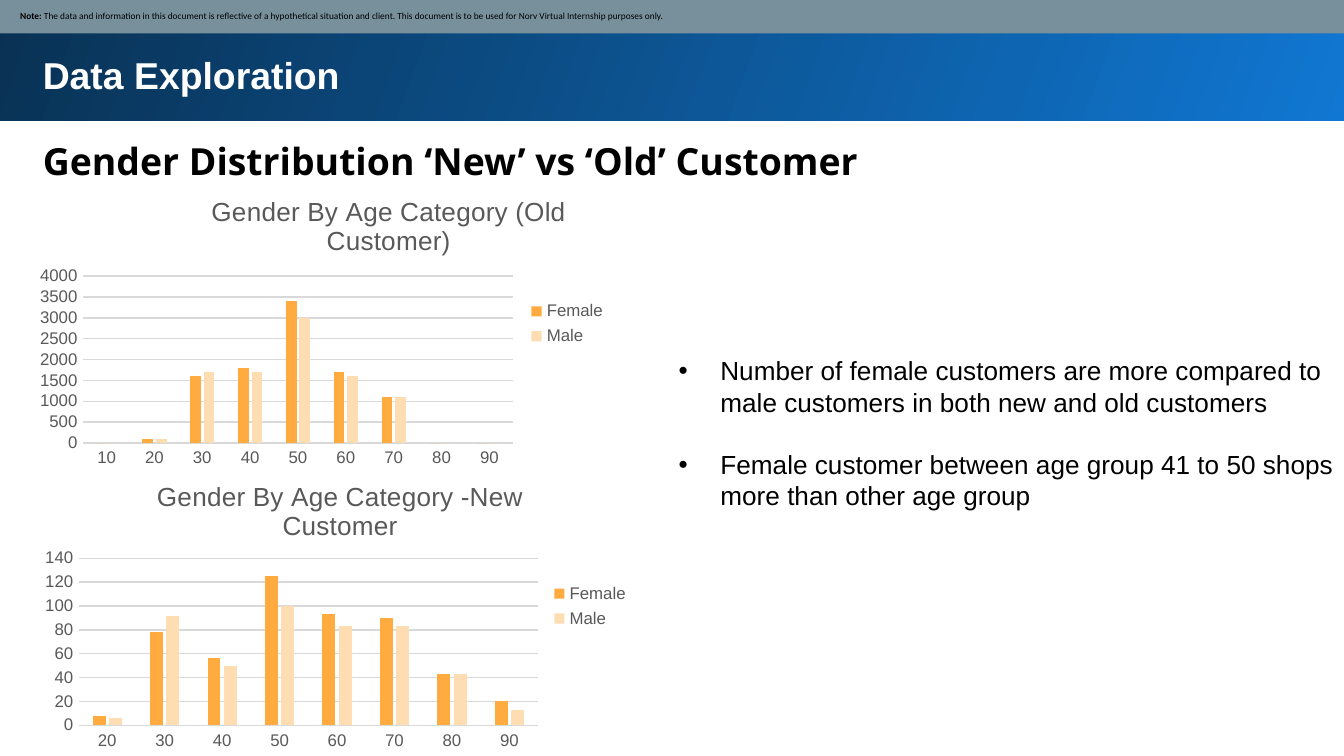
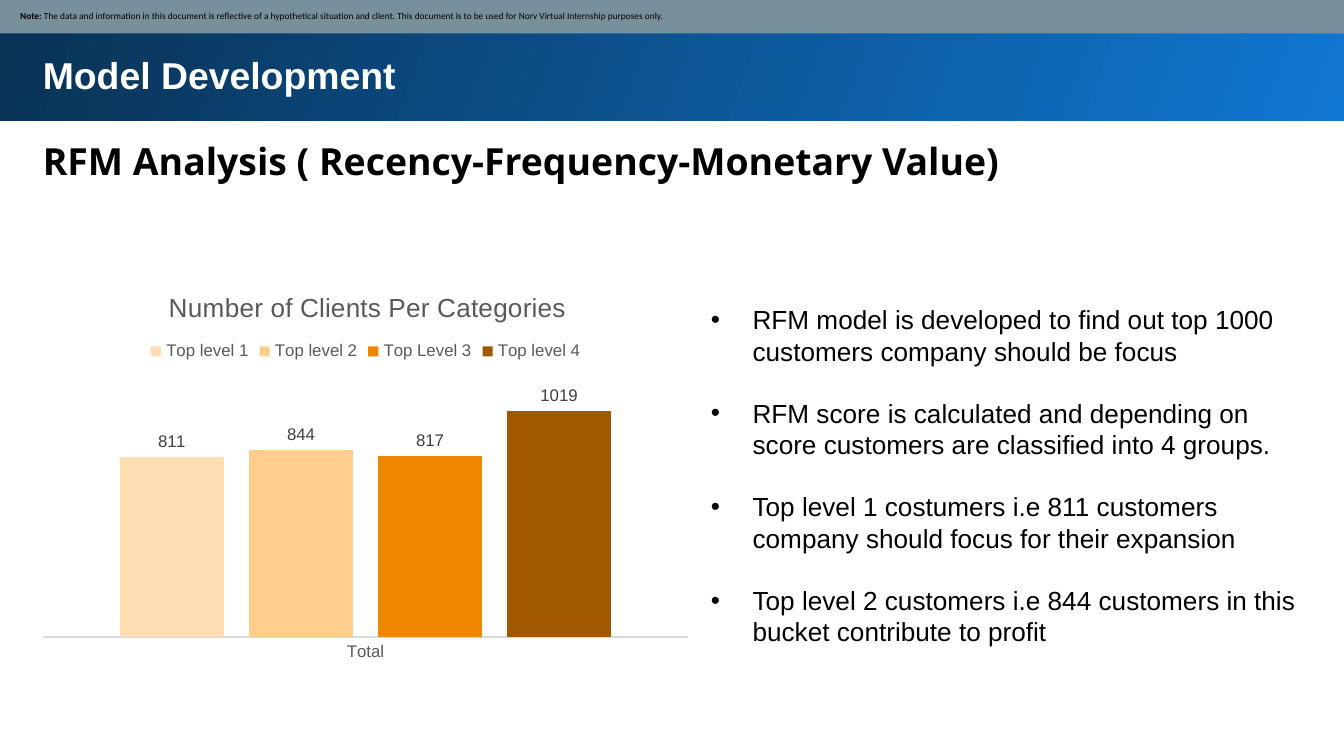
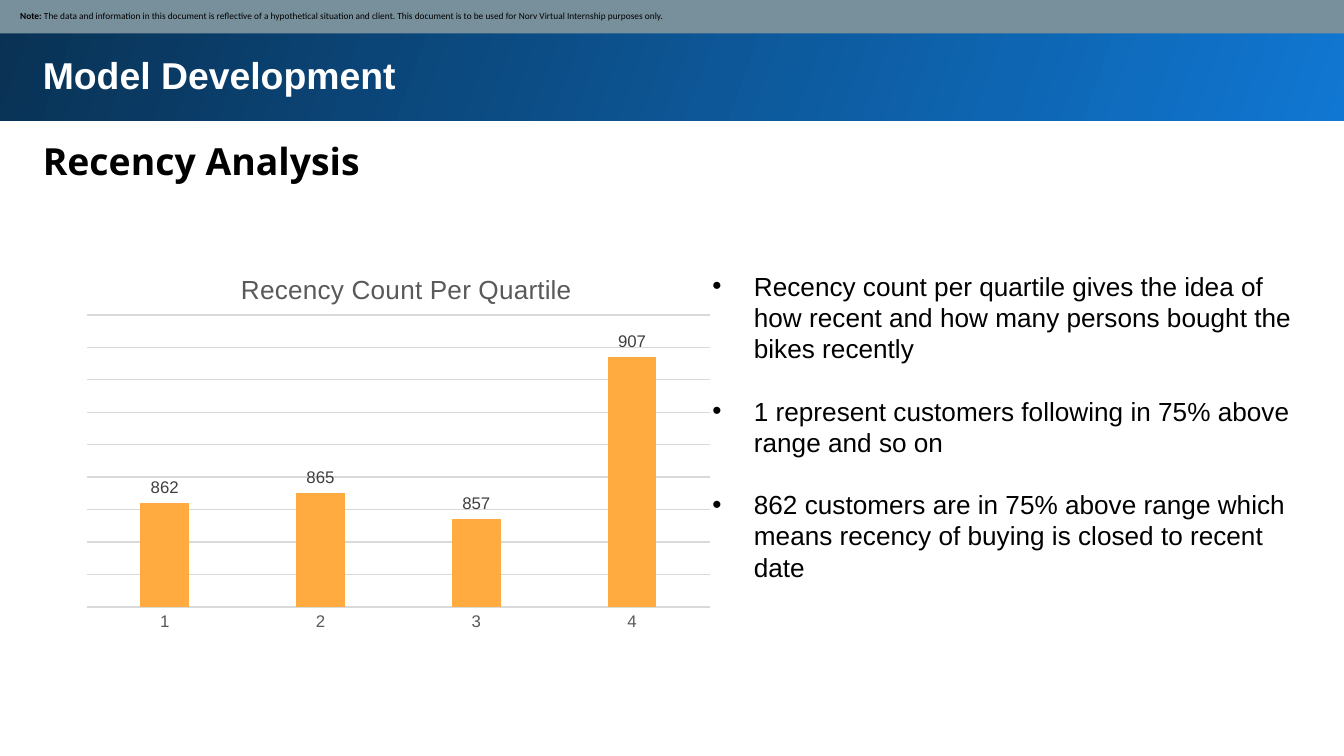
from dataclasses import dataclass

from lxml import etree
from pptx import Presentation
from pptx.chart import data as chart_data
from pptx.dml import color
from pptx.enum import chart as charts, shapes, text
from pptx.oxml import ns
from pptx.util import Inches, Pt


@dataclass(frozen=True)
class Theme:
    black: str = "000000"
    white: str = "FFFFFF"
    band_light: str = "1077D2"
    band_dark: str = "093153"
    note_band: str = "78909C"
    chart_text: str = "595959"
    label: str = "404040"
    grid: str = "D9D9D9"
    orange: str = "FFAB40"
    pale: str = "FFDDB3"
    light: str = "FFCD8C"
    deep: str = "EF8600"
    brown: str = "A05900"
    body_font: str = "Arial"
    heading_font: str = "Open Sans"
    note_font: str = "Calibri"
    title_size: float = 20
    body_size: float = 14
    chart_size: float = 10
    axis_size: float = 9
    note_size: float = 5
    bullet_gap: float = 16.5


theme = Theme()


def write(paragraph, words, size=theme.body_size, font=theme.body_font,
          ink=theme.black, bold=False, bullet=False):
    run = paragraph.add_run()
    run.text = words
    run.font.size = Pt(size)
    run.font.name = font
    run.font.bold = bold
    run.font.color.rgb = color.RGBColor.from_string(ink)
    if bullet:
        properties = paragraph._p.get_or_add_pPr()
        properties.set("marL", str(Inches(0.31)))
        properties.set("indent", str(-Inches(0.31)))
        etree.SubElement(properties, ns.qn("a:buFont"), typeface="Arial")
        etree.SubElement(properties, ns.qn("a:buChar"), char="•")


def place(element, position, index, inner=False):
    for old in element.findall(ns.qn("c:layout")):
        element.remove(old)
    layout = etree.Element(ns.qn("c:layout"))
    manual = etree.SubElement(layout, ns.qn("c:manualLayout"))
    if inner:
        etree.SubElement(manual, ns.qn("c:layoutTarget"), val="inner")
    for side in "xy":
        etree.SubElement(manual, ns.qn(f"c:{side}Mode"), val="edge")
    for side, fraction in zip("xywh", position):
        etree.SubElement(manual, ns.qn(f"c:{side}"), val=str(fraction))
    element.insert(index, layout)


pages = [
    {
        "title": "Data Exploration",
        "heading": "Gender Distribution ‘New’ vs ‘Old’ Customer",
        "bullet_box": (5, 2.59, 4.98, 1.28),
        "bullets": [
            "Number of female customers are more compared to male customers in both new and old customers",
            "Female customer between age group 41 to 50 shops more than other age group",
        ],
        "charts": [
            {
                "title": "Gender By Age Category (Old Customer)",
                "box": (0.22, 1.3, 4.39, 2.22),
                "title_at": (0.3, 0.05),
                "plot_at": (0.09, 0.34, 0.73, 0.56),
                "categories": range(10, 100, 10),
                "series": [
                    ("Female", [0, 100, 1600, 1800, 3400, 1700, 1100, 0, 0], theme.orange),
                    ("Male", [0, 100, 1700, 1700, 3000, 1600, 1100, 0, 0], theme.pale),
                ],
                "legend": charts.XL_LEGEND_POSITION.RIGHT,
                "scale": (0, 4000, 500),
                "grid": True,
            },
            {
                "title": "Gender By Age Category -New Customer",
                "box": (0.22, 3.4, 4.56, 2.22),
                "title_at": (0.2, 0.06),
                "plot_at": (0.08, 0.34, 0.75, 0.56),
                "categories": range(20, 100, 10),
                "series": [
                    ("Female", [8, 78, 56, 125, 93, 90, 43, 20], theme.orange),
                    ("Male", [6, 92, 50, 100, 83, 83, 43, 13], theme.pale),
                ],
                "legend": charts.XL_LEGEND_POSITION.RIGHT,
                "scale": (0, 140, 20),
                "grid": True,
            },
        ],
    },
    {
        "title": "Model Development",
        "heading": "RFM Analysis ( Recency-Frequency-Monetary Value)",
        "bullet_box": (5.24, 2.21, 4.53, 2.69),
        "bullets": [
            "RFM model is developed to find out top 1000 customers company should be focus",
            "RFM score is calculated and depending on score customers are classified into 4 groups.",
            "Top level 1 costumers i.e 811 customers company should focus for their expansion",
            "Top level 2 customers i.e 844 customers in this bucket contribute to profit",
        ],
        "charts": [
            {
                "title": "Number of Clients Per Categories",
                "box": (0.22, 1.98, 5, 3),
                "title_at": (0.2, 0.05),
                "plot_at": (0.02, 0.26, 0.96, 0.66),
                "categories": ["Total"],
                "series": [
                    ("Top level 1", [811], theme.pale),
                    ("Top level 2", [844], theme.light),
                    ("Top Level 3", [817], theme.deep),
                    ("Top level 4", [1019], theme.brown),
                ],
                "legend": charts.XL_LEGEND_POSITION.TOP,
                "scale": (0, 1200, 200),
                "labels": True,
                "gap": 150,
                "overlap": -25,
            },
        ],
    },
    {
        "title": "Model Development",
        "heading": "Recency Analysis",
        "bullet_box": (5.25, 1.96, 4.53, 2.69),
        "bullets": [
            "Recency count per quartile gives the idea of how recent and how many persons bought the bikes recently",
            "1 represent customers following in 75% above range and so on",
            "862 customers are in 75% above range which means recency of buying is closed to recent date",
        ],
        "charts": [
            {
                "title": "Recency Count Per Quartile",
                "box": (0.55, 1.85, 4.83, 2.9),
                "title_at": (0.25, 0.05),
                "plot_at": (0.02, 0.17, 0.96, 0.75),
                "categories": range(1, 5),
                "series": [("Series 1", [862, 865, 857, 907], theme.orange)],
                "scale": (830, 920, 10),
                "grid": True,
                "labels": True,
            },
        ],
    },
]

presentation = Presentation()
presentation.slide_width = Inches(10)
presentation.slide_height = Inches(5.625)

for page in pages:
    slide = presentation.slides.add_slide(presentation.slide_layouts[6])

    title_band = slide.shapes.add_shape(
        shapes.MSO_SHAPE.RECTANGLE, *map(Inches, (-0.02, -0.02, 10.05, 0.92)))
    title_band.fill.gradient()
    title_band.fill.gradient_angle = 160
    for stop, ink in zip(title_band.fill.gradient_stops, (theme.band_light, theme.band_dark)):
        stop.color.rgb = color.RGBColor.from_string(ink)

    for words, top, height, font, ink, spacing in (
        (page["title"], 0.29, 0.54, theme.body_font, theme.white, 1.0),
        (page["heading"], 0.88, 0.56, theme.heading_font, theme.black, 1.15),
    ):
        box = slide.shapes.add_textbox(*map(Inches, (0.22, top, 9.37, height)))
        frame = box.text_frame
        frame.word_wrap = True
        frame.auto_size = text.MSO_AUTO_SIZE.SHAPE_TO_FIT_TEXT
        frame.margin_left = frame.margin_right = Inches(0.1)
        frame.margin_top = frame.margin_bottom = Inches(0.1)
        frame.paragraphs[0].line_spacing = spacing
        write(frame.paragraphs[0], words, size=theme.title_size, font=font, ink=ink, bold=True)

    note_band = slide.shapes.add_shape(
        shapes.MSO_SHAPE.RECTANGLE, *map(Inches, (-0.01, -0.01, 10.03, 0.26)))
    note_band.fill.solid()
    note_band.fill.fore_color.rgb = color.RGBColor.from_string(theme.note_band)
    for band in (title_band, note_band):
        band.line.fill.background()
        band.shadow.inherit = False
    frame = note_band.text_frame
    frame.vertical_anchor = text.MSO_ANCHOR.MIDDLE
    frame.margin_left = Inches(0.16)
    frame.margin_right = frame.margin_top = frame.margin_bottom = Inches(0.05)
    paragraph = frame.paragraphs[0]
    paragraph.alignment = text.PP_ALIGN.LEFT
    write(paragraph, "Note: ", size=theme.note_size, font=theme.note_font, bold=True)
    write(paragraph,
          "The data and information in this document is reflective of a hypothetical situation "
          "and client. This document is to be used for Norv Virtual Internship purposes only.",
          size=theme.note_size, font=theme.note_font)

    box = slide.shapes.add_textbox(*map(Inches, page["bullet_box"]))
    frame = box.text_frame
    frame.word_wrap = True
    frame.auto_size = text.MSO_AUTO_SIZE.SHAPE_TO_FIT_TEXT
    frame.margin_left = frame.margin_right = Inches(0.05)
    frame.margin_top = frame.margin_bottom = Inches(0.05)
    for number, words in enumerate(page["bullets"]):
        paragraph = frame.add_paragraph() if number else frame.paragraphs[0]
        if number:
            paragraph.space_before = Pt(theme.bullet_gap)
        write(paragraph, words, bullet=True)

    for item in page["charts"]:
        values = chart_data.CategoryChartData()
        values.categories = [str(category) for category in item["categories"]]
        for name, numbers, _ in item["series"]:
            values.add_series(name, numbers)
        chart = slide.shapes.add_chart(
            charts.XL_CHART_TYPE.COLUMN_CLUSTERED, *map(Inches, item["box"]), values).chart
        plot = chart.plots[0]
        category_axis, value_axis = chart.category_axis, chart.value_axis
        show_labels = item.get("labels", False)

        chart.has_title = True
        write(chart.chart_title.text_frame.paragraphs[0], item["title"], ink=theme.chart_text)
        chart.chart_title.include_in_layout = False
        place(chart.chart_title.element, item["title_at"], 1)
        place(chart.element.find(".//" + ns.qn("c:plotArea")), item["plot_at"], 0, inner=True)

        plot.vary_by_categories = False
        plot.gap_width = item.get("gap", 219)
        plot.overlap = item.get("overlap", -27)
        for series, (_, _, ink) in zip(plot.series, item["series"]):
            series.format.fill.solid()
            series.format.fill.fore_color.rgb = color.RGBColor.from_string(ink)
        value_axis.minimum_scale, value_axis.maximum_scale, value_axis.major_unit = item["scale"]
        value_axis.visible = not show_labels
        value_axis.has_major_gridlines = item.get("grid", False)
        value_axis.format.line.fill.background()
        lines = [category_axis.format.line]
        if value_axis.has_major_gridlines:
            lines.append(value_axis.major_gridlines.format.line)
        for line in lines:
            line.color.rgb = color.RGBColor.from_string(theme.grid)
            line.width = Pt(0.75)
        for axis in (category_axis, value_axis):
            axis.major_tick_mark = axis.minor_tick_mark = charts.XL_TICK_MARK.NONE

        fonts = [
            (chart.font, theme.chart_size, theme.black),
            (category_axis.tick_labels.font, theme.axis_size, theme.chart_text),
            (value_axis.tick_labels.font, theme.axis_size, theme.chart_text),
        ]
        chart.has_legend = "legend" in item
        if chart.has_legend:
            chart.legend.position = item["legend"]
            chart.legend.include_in_layout = False
            fonts.append((chart.legend.font, theme.axis_size, theme.chart_text))
        if show_labels:
            plot.has_data_labels = True
            plot.data_labels.show_value = True
            plot.data_labels.position = charts.XL_LABEL_POSITION.OUTSIDE_END
            fonts.append((plot.data_labels.font, theme.axis_size, theme.label))
        for font, size, ink in fonts:
            font.name = theme.body_font
            font.size = Pt(size)
            font.color.rgb = color.RGBColor.from_string(ink)

presentation.save("out.pptx")
